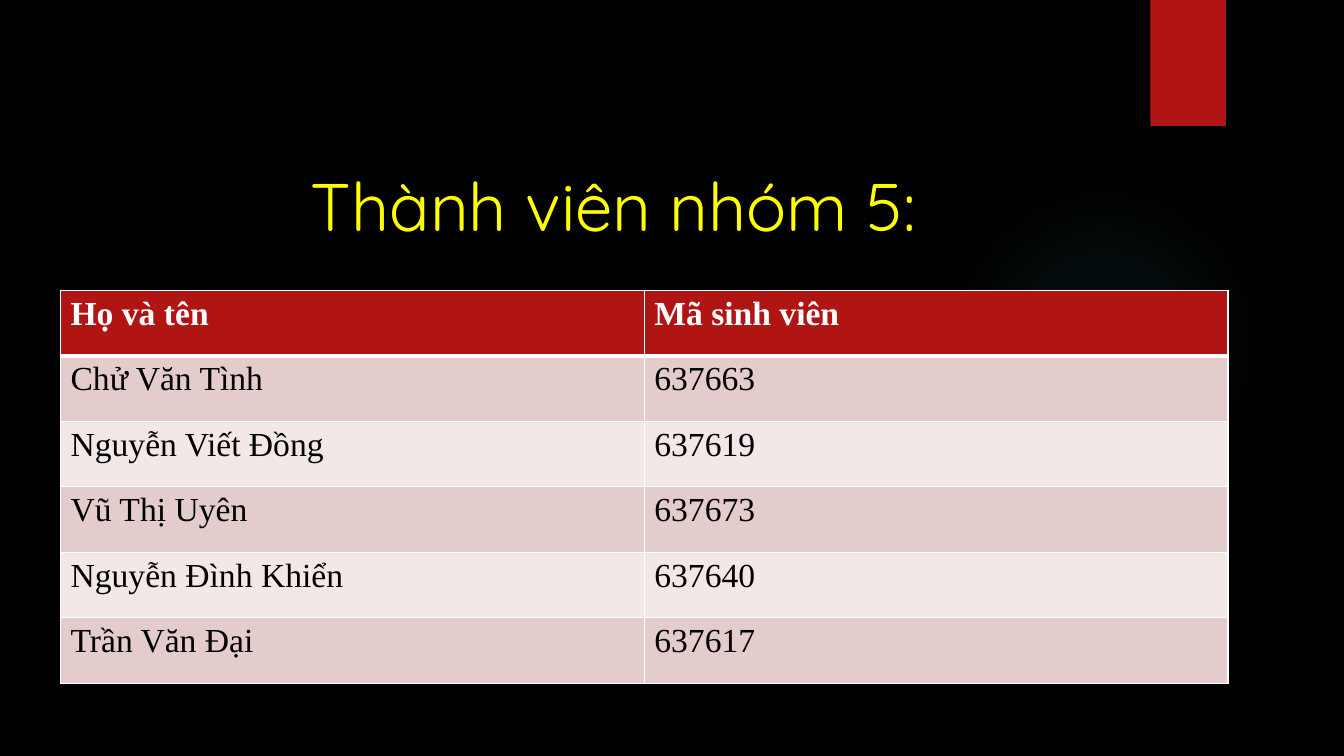
from dataclasses import dataclass

from lxml.etree import fromstring
from pptx import Presentation
from pptx.dml.color import RGBColor
from pptx.enum.shapes import MSO_SHAPE
from pptx.enum.text import MSO_ANCHOR, PP_ALIGN
from pptx.util import Inches, Pt

DRAWING = "http://schemas.openxmlformats.org/drawingml/2006/main"


@dataclass(frozen=True)
class Theme:
    background: str = "000000"
    accent: str = "B01513"
    glow: str = "50B9C1"
    title: str = "FFFF00"
    header_text: str = "FFFFFF"
    body_text: str = "000000"
    border: str = "FFFFFF"
    bands: tuple = ("E4CCCC", "F2E8E7")
    title_font: str = "Quicksand"
    table_font: str = "Times New Roman"
    title_size: int = 48
    table_size: int = 24


THEME = Theme()

MEMBERS = [
    ("Họ và tên", "Mã sinh viên"),
    ("Chử Văn Tình", "637663"),
    ("Nguyễn Viết Đồng", "637619"),
    ("Vũ Thị Uyên", "637673"),
    ("Nguyễn Đình Khiển", "637640"),
    ("Trần Văn Đại", "637617"),
]


def style_font(font, name, size, color, bold=False):
    font.name = name
    font.size = Pt(size)
    font.bold = bold
    font.color.rgb = RGBColor.from_string(color)


def add_plain_shape(page, kind, left, top, width, height):
    shape = page.shapes.add_shape(
        kind, Inches(left), Inches(top), Inches(width), Inches(height))
    shape.shadow.inherit = False
    shape.line.fill.background()
    return shape


def add_glow(page, left, top, size):
    """A circle whose colour fades out from its centre."""
    circle = add_plain_shape(page, MSO_SHAPE.OVAL, left, top, size, size)
    circle.fill.background()
    stops = "".join(
        f'<a:gs pos="{position * 1000}"><a:srgbClr val="{THEME.glow}">'
        f'<a:alpha val="{opacity * 1000}"/></a:srgbClr></a:gs>'
        for position, opacity in ((0, 7), (36, 6), (69, 0)))
    gradient = fromstring(
        f'<a:gradFill xmlns:a="{DRAWING}" rotWithShape="1"><a:gsLst>{stops}</a:gsLst>'
        '<a:path path="circle"><a:fillToRect l="50000" t="50000" r="50000" b="50000"/>'
        '</a:path></a:gradFill>')
    properties = circle.element.spPr
    properties.replace(properties.find(f"{{{DRAWING}}}noFill"), gradient)


def add_ribbon(page, left, top, width, height):
    ribbon = add_plain_shape(page, MSO_SHAPE.RECTANGLE, left, top, width, height)
    ribbon.fill.solid()
    ribbon.fill.fore_color.rgb = RGBColor.from_string(THEME.accent)


def add_title(page, text, left, top, width, height):
    box = page.shapes.add_textbox(
        Inches(left), Inches(top), Inches(width), Inches(height))
    frame = box.text_frame
    frame.word_wrap = True
    frame.vertical_anchor = MSO_ANCHOR.TOP
    para = frame.paragraphs[0]
    para.text = text
    para.alignment = PP_ALIGN.CENTER
    style_font(para.font, THEME.title_font, THEME.title_size, THEME.title)


def set_borders(cell, top, bottom):
    """Draw all four sides; top and bottom are widths in points."""
    properties = cell._tc.get_or_add_tcPr()
    sides = (("lnL", 1), ("lnR", 1), ("lnT", top), ("lnB", bottom))
    for index, (side, width) in enumerate(sides):
        properties.insert(index, fromstring(
            f'<a:{side} xmlns:a="{DRAWING}" w="{Pt(width)}"><a:solidFill>'
            f'<a:srgbClr val="{THEME.border}"/></a:solidFill></a:{side}>'))


def add_member_table(page, rows, left, top, width, row_height):
    table = page.shapes.add_table(
        len(rows), len(rows[0]), Inches(left), Inches(top),
        Inches(width), Inches(row_height * len(rows))).table
    for row_index, values in enumerate(rows):
        is_header = row_index == 0
        fill = THEME.accent if is_header else THEME.bands[(row_index - 1) % 2]
        color = THEME.header_text if is_header else THEME.body_text
        for column_index, value in enumerate(values):
            cell = table.cell(row_index, column_index)
            cell.fill.solid()
            cell.fill.fore_color.rgb = RGBColor.from_string(fill)
            set_borders(cell, top=3 if row_index == 1 else 1,
                        bottom=3 if is_header else 1)
            para = cell.text_frame.paragraphs[0]
            para.text = value
            style_font(para.font, THEME.table_font, THEME.table_size, color, is_header)


def main():
    deck = Presentation()
    deck.slide_width, deck.slide_height = Inches(13.33), Inches(7.5)
    page = deck.slides.add_slide(deck.slide_layouts[6])

    # Backdrop
    page.background.fill.solid()
    page.background.fill.fore_color.rgb = RGBColor.from_string(THEME.background)
    add_glow(page, 9.41, 1.83, 3.08)
    add_ribbon(page, 11.41, 0, 0.75, 1.25)

    # Group members
    add_title(page, "Thành viên nhóm 5:", 1.26, 1.58, 9.65, 2.17)
    add_member_table(page, MEMBERS, 0.6, 2.88, 11.58, 0.65)

    deck.save("out.pptx")


if __name__ == "__main__":
    main()
